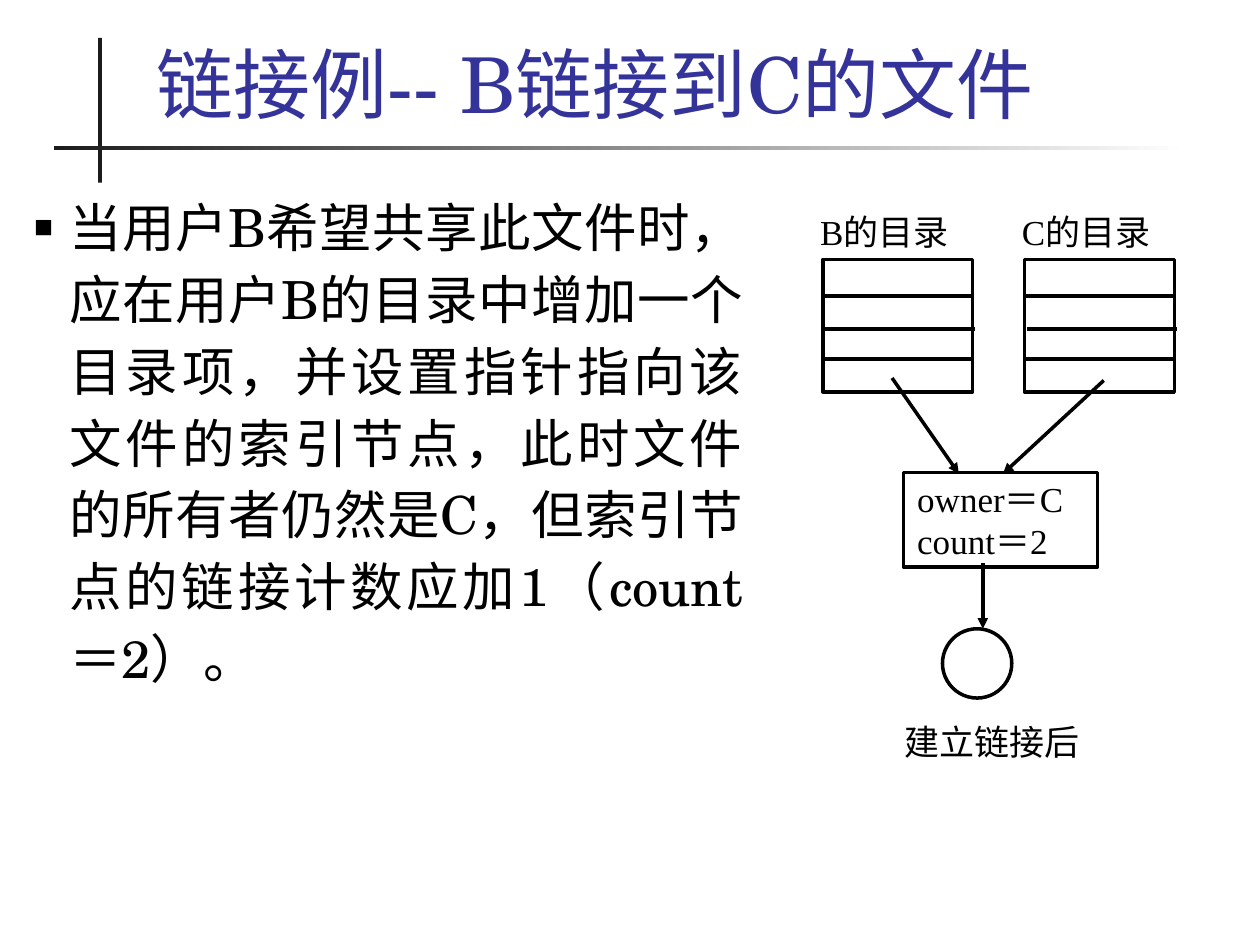
import pptx
import pptx.dml.color
import pptx.enum.shapes
import pptx.enum.text
import pptx.oxml
import pptx.oxml.ns
import pptx.util
from lxml import etree

Inches = pptx.util.Inches
Pt = pptx.util.Pt
RGBColor = pptx.dml.color.RGBColor
MSO_SHAPE = pptx.enum.shapes.MSO_SHAPE
PP_ALIGN = pptx.enum.text.PP_ALIGN
MSO_ANCHOR = pptx.enum.text.MSO_ANCHOR
qn = pptx.oxml.ns.qn

BLACK = RGBColor(0x00, 0x00, 0x00)
WHITE = RGBColor(0xFF, 0xFF, 0xFF)
CHARCOAL = RGBColor(0x1C, 0x1C, 0x1C)
INDIGO = RGBColor(0x33, 0x33, 0x99)

SERIF = "TeX Gyre Schola"
ROMAN = "Times New Roman"
TITLE_FONT = {"size": Pt(44), "name": SERIF}
BODY_FONT = {"size": Pt(30), "name": SERIF}
LABEL_FONT = {"size": Pt(20), "name": ROMAN}
FRAME = {"word_wrap": True, "auto_size": pptx.enum.text.MSO_AUTO_SIZE.NONE}
NO_MARGINS = {"margin_left": 0, "margin_top": 0, "margin_right": 0, "margin_bottom": 0}


def set_attrs(obj, values):
    """Set every attribute named in a dict of format values."""
    for name, value in values.items():
        setattr(obj, name, value)


def place(sp, box):
    """Move a shape to a left, top, width, height box."""
    set_attrs(sp, dict(zip(("left", "top", "width", "height"), box)))


def write(tf, lines, font, color, align, frame):
    """Fill a text frame with one paragraph for each line."""
    set_attrs(tf, {**FRAME, **frame})
    for i, line in enumerate(lines):
        p = tf.paragraphs[0] if i == 0 else tf.add_paragraph()
        p.alignment = align
        r = p.add_run()
        r.text = line
        set_attrs(r.font, font)
        r.font.color.rgb = color


def add_label(s, box, text):
    """Add a borderless caption."""
    sp = s.shapes.add_textbox(*box)
    write(sp.text_frame, [text], LABEL_FONT, BLACK, PP_ALIGN.JUSTIFY, NO_MARGINS)


def add_outline(s, kind, box):
    """Add a white shape with a black outline."""
    sp = s.shapes.add_shape(kind, *box)
    sp.shadow.inherit = False
    sp.fill.solid()
    sp.fill.fore_color.rgb = WHITE
    sp.line.color.rgb = BLACK
    sp.line.width = Pt(2)
    return sp


def add_line(s, start, end, arrow=False):
    """Add a black line, with an arrowhead at its end if asked."""
    sp = s.shapes.add_connector(pptx.enum.shapes.MSO_CONNECTOR.STRAIGHT, *start, *end)
    sp.line.color.rgb = BLACK
    sp.line.width = Pt(2)
    if arrow:
        etree.SubElement(sp.line._get_or_add_ln(), qn("a:tailEnd"), type="triangle")
    etree.SubElement(sp._element.spPr, qn("a:effectLst"))


def add_cross_rules(s, box):
    """Draw the crossed title rules, the horizontal one fading to white."""
    x, y, w, h = box
    thick = Inches(0.03)
    bars = [(x + Inches(0.35), y, thick, h), (x, y + Inches(0.86), w, thick)]
    upright, level = [s.shapes.add_shape(MSO_SHAPE.RECTANGLE, *bar) for bar in bars]
    for sp in (upright, level):
        sp.shadow.inherit = False
        sp.line.fill.background()
    upright.fill.solid()
    upright.fill.fore_color.rgb = CHARCOAL
    level.fill.gradient()
    level.fill.gradient_angle = 0
    for stop, color in zip(level.fill.gradient_stops, (CHARCOAL, WHITE)):
        stop.color.rgb = color


def fill_title(s, box, text):
    """Place and write the title."""
    sp = s.shapes.title
    place(sp, box)
    write(sp.text_frame, [text], TITLE_FONT, INDIGO, PP_ALIGN.LEFT,
          {"vertical_anchor": MSO_ANCHOR.BOTTOM})


def fill_body(s, box, text):
    """Place and write the bulleted body."""
    sp = s.placeholders[1]
    place(sp, box)
    p = sp.text_frame.paragraphs[0]
    pPr = p._p.get_or_add_pPr()
    pPr.set("marL", str(Inches(0.28)))
    pPr.set("indent", str(-Inches(0.28)))
    color = etree.SubElement(pPr, qn("a:buClr"))
    etree.SubElement(color, qn("a:srgbClr"), val=str(BLACK))
    etree.SubElement(pPr, qn("a:buSzPct"), val="60000")
    etree.SubElement(pPr, qn("a:buChar"), char="■")
    set_attrs(p, {"line_spacing": 1.14, "space_before": Pt(0)})
    write(sp.text_frame, [text], BODY_FONT, BLACK, PP_ALIGN.JUSTIFY,
          {"vertical_anchor": MSO_ANCHOR.TOP})


def add_directory(s, box, caption):
    """Draw a captioned directory split into four entries."""
    x, y, w, h = box
    add_label(s, (x - Inches(0.02), y - Inches(0.39), w, Inches(0.32)), caption)
    add_outline(s, MSO_SHAPE.RECTANGLE, box)
    for dx, dy in ((0, 0.29), (0.02, 0.55), (0, 0.79)):
        left, row = x + Inches(dx), y + Inches(dy)
        add_line(s, (left, row), (left + w, row))


def add_inode(s, box, lines):
    """Draw the index node with its fields."""
    sp = add_outline(s, MSO_SHAPE.RECTANGLE, box)
    write(sp.text_frame, lines, LABEL_FONT, BLACK, PP_ALIGN.JUSTIFY,
          {"margin_left": Inches(0.11), "margin_top": Inches(0.04),
           "margin_right": Inches(0.04), "margin_bottom": 0,
           "vertical_anchor": MSO_ANCHOR.TOP})


def add_link_diagram(s, box):
    """Draw two directories pointing to one index node and its file."""
    x, y, w, h = box

    def at(dx, dy):
        return x + Inches(dx), y + Inches(dy)

    for i, caption in enumerate(("B的目录", "C的目录")):
        add_directory(s, (*at(1.6 * i, 0.39), Inches(1.19), Inches(1.05)), caption)
    add_inode(s, (*at(0.64, 2.08), Inches(1.54), Inches(0.75)), ["owner＝C", "count＝2"])
    add_outline(s, MSO_SHAPE.OVAL, (*at(0.95, 3.32), Inches(0.55), Inches(0.55)))
    add_label(s, (*at(0.65, 4.05), Inches(1.62), Inches(0.36)), "建立链接后")
    arrows = [((0.55, 1.33), (1.08, 2.09)), ((2.23, 1.35), (1.43, 2.09)),
              ((1.27, 2.8), (1.27, 3.32))]
    for start, end in arrows:
        add_line(s, at(*start), at(*end), arrow=True)


def main():
    """Build and save the slide."""
    prs = pptx.Presentation()
    prs.slide_width, prs.slide_height = Inches(10), Inches(7.5)
    s = prs.slides.add_slide(prs.slide_layouts[1])
    add_cross_rules(s, (Inches(0.43), Inches(0.3), Inches(9), Inches(1.15)))
    fill_title(s, (Inches(1.14), Inches(0.25), Inches(8.59), Inches(0.82)),
               "链接例-- B链接到C的文件")
    fill_body(s, (Inches(0.17), Inches(1.43), Inches(5.83), Inches(4.5)),
              "当用户B希望共享此文件时，应在用户B的目录中增加一个目录项，"
              "并设置指针指向该文件的索引节点，此时文件的所有者仍然是C，"
              "但索引节点的链接计数应加1（count＝2）。")
    add_link_diagram(s, (Inches(6.53), Inches(1.67), Inches(2.8), Inches(4.41)))
    prs.save("out.pptx")


if __name__ == "__main__":
    main()
